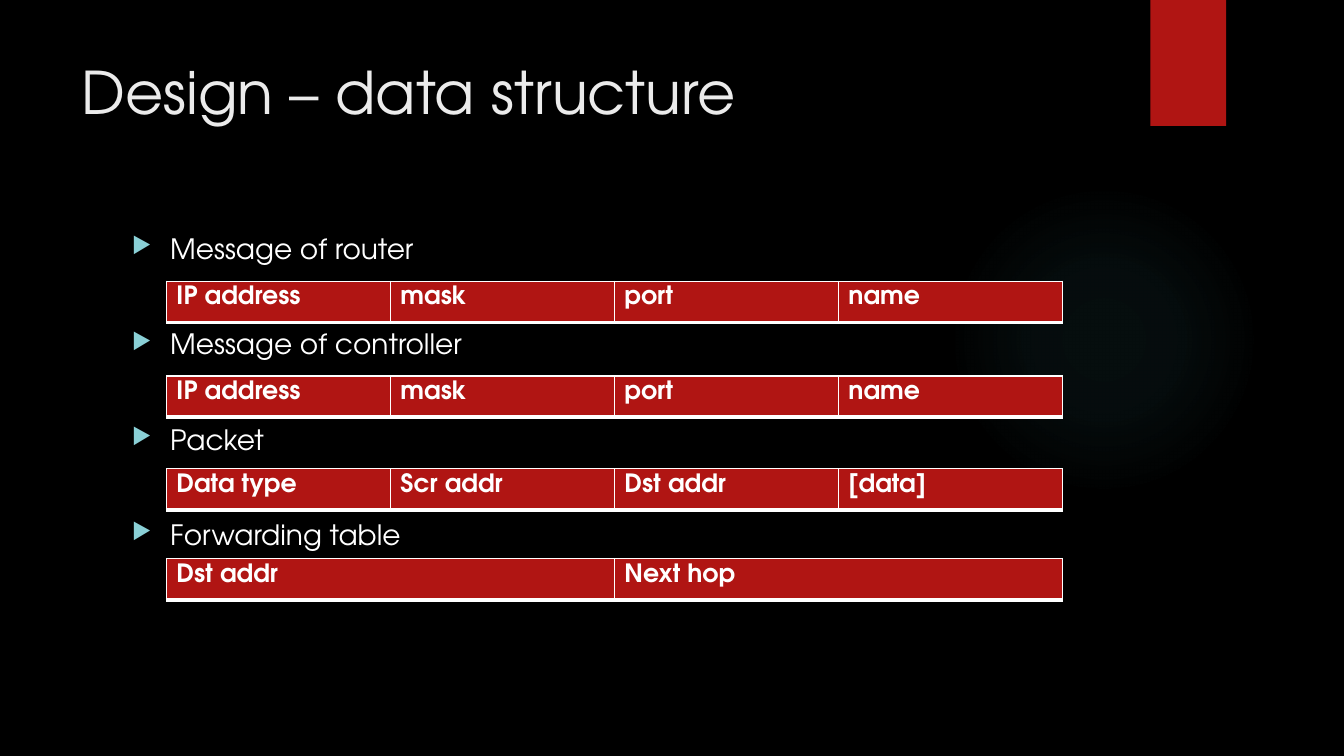
from lxml import etree
from pptx import Presentation
from pptx import util as u
from pptx.dml.color import RGBColor
from pptx.enum import shapes, text
from pptx.oxml import parse_xml
from pptx.oxml.ns import nsdecls, qn

RED, WHITE, TEAL = "B01513", "FFFFFF", "50B9C1"

# label, top of its table in percent of the slide height, cells
STRUCTURES = [
    ("Message of router", 37.2, ["IP address", "mask", "port", "name"]),
    ("Message of controller", 49.73, ["IP address", "mask", "port", "name"]),
    ("Packet", 62, ["Data type", "Scr addr", "Dst addr", "[data]"]),
    ("Forwarding table", 73.87, ["Dst addr", "Next hop"]),
]


def color(value):
    return RGBColor.from_string(value)


def write(paragraph, content, size=20, ink=WHITE, bold=False, before=0):
    paragraph.space_before = u.Pt(before)
    run = paragraph.add_run()
    run.text = content
    run.font.name = "TeX Gyre Adventor"
    run.font.size = u.Pt(size)
    run.font.bold = bold
    run.font.color.rgb = color(ink)


def add_bullet(paragraph, ink="8AD0D6", indent=u.Inches(0.38)):
    properties = paragraph._p.get_or_add_pPr()
    properties.set("marL", str(indent))
    properties.set("indent", str(-indent))
    bullet_color = etree.SubElement(properties, qn("a:buClr"))
    etree.SubElement(bullet_color, qn("a:srgbClr"), val=ink)
    etree.SubElement(properties, qn("a:buSzPct"), val="80000")
    etree.SubElement(properties, qn("a:buChar"), char="▶")


def add_borders(cell):
    """White lines around the cell, the bottom one thicker."""
    properties = cell._tc.get_or_add_tcPr()
    for index, (side, width) in enumerate([("L", 1), ("R", 1), ("T", 1), ("B", 3)]):
        properties.insert(index, parse_xml(
            f'<a:ln{side} {nsdecls("a")} w="{u.Pt(width)}"><a:solidFill>'
            f'<a:srgbClr val="{WHITE}"/></a:solidFill></a:ln{side}>'))


class Deck:
    """Holds the slide; boxes are left, top, width, height in percent of it."""

    def __init__(self, background):
        self.presentation = Presentation()
        self.presentation.slide_width = u.Inches(13.33)
        self.presentation.slide_height = u.Inches(7.5)
        self.slide = self.presentation.slides.add_slide(self.presentation.slide_layouts[6])
        self.slide.background.fill.solid()
        self.slide.background.fill.fore_color.rgb = color(background)

    def place(self, box):
        width, height = self.presentation.slide_width, self.presentation.slide_height
        return [int(share * side / 100) for share, side in zip(box, (width, height) * 2)]

    def shape(self, kind, box, fill):
        shape = self.slide.shapes.add_shape(kind, *self.place(box))
        shape.shadow.inherit = False
        shape.line.fill.background()
        shape.fill.solid()
        shape.fill.fore_color.rgb = color(fill)
        return shape

    def glow(self, box, ink):
        """Ellipse that fades out from its centre."""
        shape = self.shape(shapes.MSO_SHAPE.OVAL, box, ink)
        stops = "".join(
            f'<a:gs pos="{position * 1000}"><a:srgbClr val="{ink}">'
            f'<a:alpha val="{alpha * 1000}"/></a:srgbClr></a:gs>'
            for position, alpha in [(0, 7), (36, 6), (69, 0), (100, 0)])
        gradient = parse_xml(
            f'<a:gradFill {nsdecls("a")} rotWithShape="1"><a:gsLst>{stops}</a:gsLst>'
            '<a:path path="circle"><a:fillToRect l="50000" t="50000" r="50000" b="50000"/>'
            '</a:path></a:gradFill>')
        properties = shape._element.spPr
        properties.replace(properties.find(qn("a:solidFill")), gradient)

    def text_frame(self, box):
        frame = self.slide.shapes.add_textbox(*self.place(box)).text_frame
        frame.word_wrap = True
        frame.vertical_anchor = text.MSO_ANCHOR.TOP
        return frame

    def title(self, box, content):
        write(self.text_frame(box).paragraphs[0], content, size=42, ink="EBEBEB")

    def bullets(self, box, items, gap):
        frame = self.text_frame(box)
        for index, item in enumerate(items):
            paragraph = frame.add_paragraph() if index else frame.paragraphs[0]
            write(paragraph, item, before=gap if index else 0)
            add_bullet(paragraph)

    def header_table(self, box, labels):
        """One row of equally wide red cells."""
        left, top, width, height = self.place(box)
        table = self.slide.shapes.add_table(1, len(labels), left, top, width, height).table
        table.first_row = table.horz_banding = False
        for index, label in enumerate(labels):
            table.columns[index].width = width // len(labels)
            cell = table.cell(0, index)
            cell.fill.solid()
            cell.fill.fore_color.rgb = color(RED)
            add_borders(cell)
            write(cell.text_frame.paragraphs[0], label, size=18, bold=True)


def main():
    deck = Deck("000000")
    deck.glow((70.59, 24.4, 23.1, 41.07), TEAL)
    deck.shape(shapes.MSO_SHAPE.RECTANGLE, (85.6, 0, 5.63, 16.67), RED)
    deck.title((5.33, 6.67, 77.2, 20.4), "Design – data structure")
    deck.bullets((9.08, 30, 73.37, 61.2), [label for label, _, _ in STRUCTURES], gap=44)
    for _, top, cells in STRUCTURES:
        deck.header_table((12.38, top, 66.67, 5.47), cells)
    deck.presentation.save("out.pptx")


if __name__ == "__main__":
    main()
